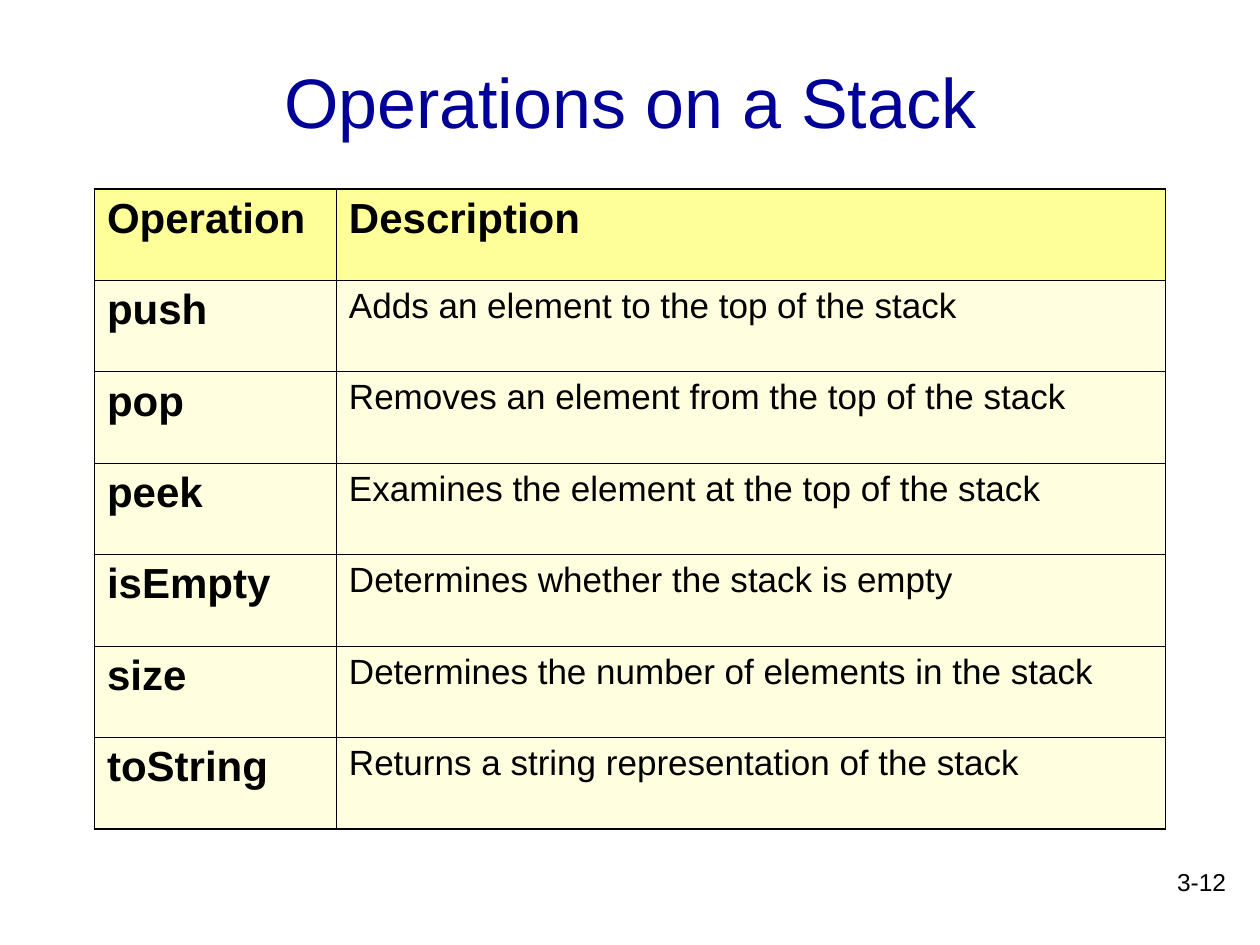
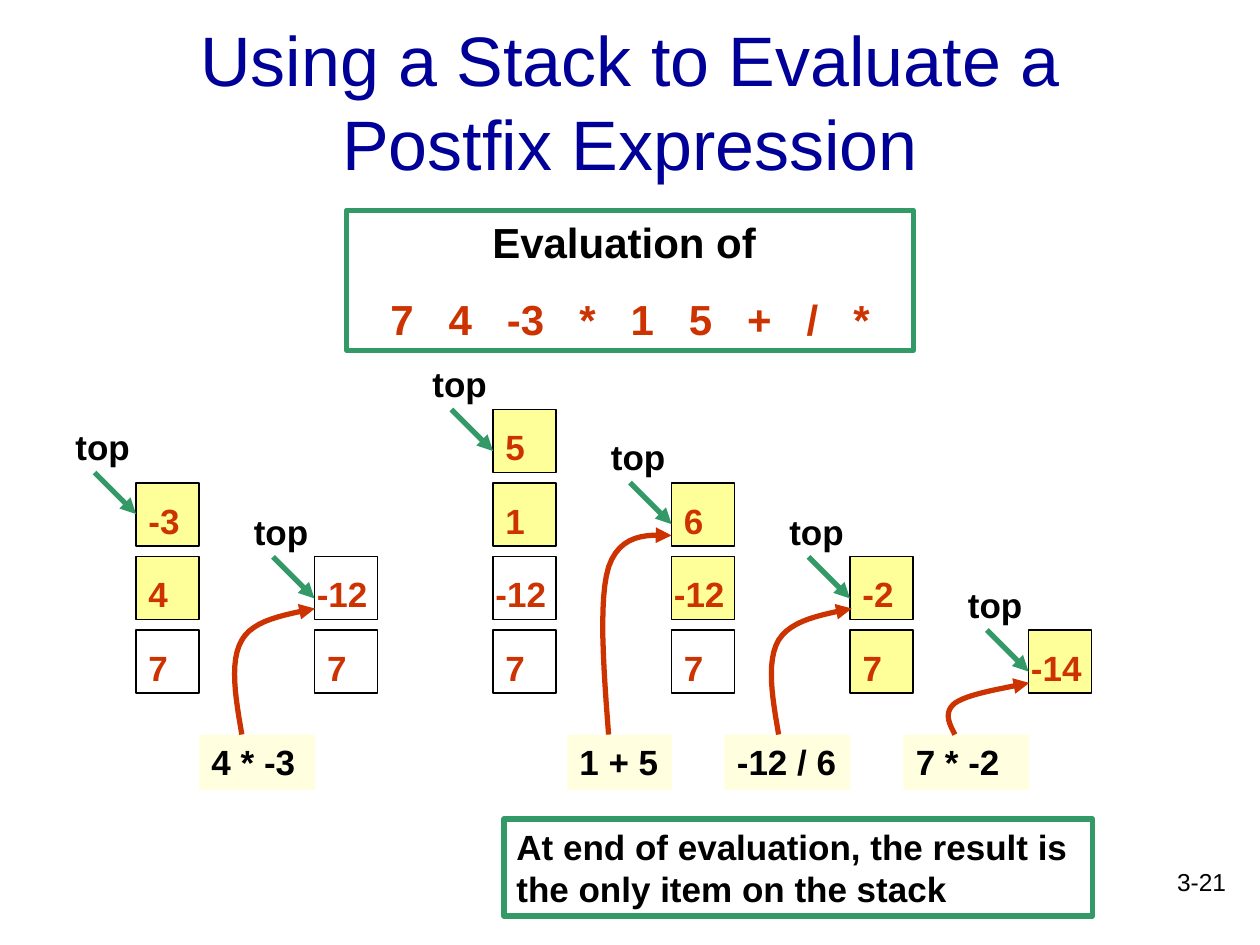
import pptx
import pptx.dml.color
import pptx.enum.shapes
import pptx.enum.text
import pptx.oxml.ns
import pptx.util
import lxml.etree

NAVY = pptx.dml.color.RGBColor(0x00, 0x00, 0x99)
BLACK = pptx.dml.color.RGBColor(0x00, 0x00, 0x00)
RED = pptx.dml.color.RGBColor(0xCC, 0x33, 0x00)
GREEN = pptx.dml.color.RGBColor(0x33, 0x99, 0x66)
YELLOW = pptx.dml.color.RGBColor(0xFF, 0xFF, 0x99)
CREAM = pptx.dml.color.RGBColor(0xFF, 0xFF, 0xDF)
LEFT = pptx.enum.text.PP_ALIGN.LEFT
CENTER = pptx.enum.text.PP_ALIGN.CENTER
RIGHT = pptx.enum.text.PP_ALIGN.RIGHT
RECT = pptx.enum.shapes.MSO_SHAPE.RECTANGLE
STRAIGHT = pptx.enum.shapes.MSO_CONNECTOR.STRAIGHT
qn = pptx.oxml.ns.qn


def write(frame, text, size, color=BLACK, bold=True, align=LEFT, before=12.5):
    frame.word_wrap = True
    para = frame.paragraphs[0]
    para.text = text
    para.alignment = align
    para.space_before = pptx.util.Pt(before)
    para.font.name = "Arial"
    para.font.size = pptx.util.Pt(size)
    para.font.bold = bold
    para.font.color.rgb = color


def point(shape, color):
    shape.line.color.rgb = color
    shape.line.width = pptx.util.Pt(3)
    props = shape.element.spPr
    lxml.etree.SubElement(props.find(qn("a:ln")), qn("a:tailEnd"), type="triangle")
    lxml.etree.SubElement(props, qn("a:effectLst"))


deck = pptx.Presentation()
deck.slide_width = pptx.util.Inches(10)
deck.slide_height = pptx.util.Inches(7.5)

slides = []
for title, page in [
    ("Operations on a Stack", "3-12"),
    ("Using a Stack to Evaluate a Postfix Expression", "3-21"),
]:
    slide = deck.slides.add_slide(deck.slide_layouts[5])
    head = slide.shapes.title
    head.left, head.top = pptx.util.Inches(0.75), pptx.util.Inches(0.17)
    head.width, head.height = pptx.util.Inches(8.5), pptx.util.Inches(1.25)
    head.text_frame.auto_size = pptx.enum.text.MSO_AUTO_SIZE.NONE
    head.text_frame.vertical_anchor = pptx.enum.text.MSO_ANCHOR.MIDDLE
    write(head.text_frame, title, 40, NAVY, False, CENTER, 0)
    foot = slide.shapes.add_textbox(*map(pptx.util.Inches, (7.75, 6.83, 2.08, 0.5)))
    write(foot.text_frame, page, 14, BLACK, False, RIGHT, 0)
    slides.append(slide)

rows = [
    ("Operation", "Description"),
    ("push", "Adds an element to the top of the stack"),
    ("pop", "Removes an element from the top of the stack"),
    ("peek", "Examines the element at the top of the stack"),
    ("isEmpty", "Determines whether the stack is empty"),
    ("size", "Determines the number of elements in the stack"),
    ("toString", "Returns a string representation of the stack"),
]
place = map(pptx.util.Inches, (0.75, 1.5, 8.5, 5.08))
table = slides[0].shapes.add_table(len(rows), 2, *place).table
table.first_row = table.horz_banding = False
table.columns[0].width = pptx.util.Inches(1.92)
table.columns[1].width = pptx.util.Inches(6.58)
for r, row in enumerate(rows):
    for c, text in enumerate(row):
        cell = table.cell(r, c)
        strong = r == 0 or c == 0
        write(cell.text_frame, text, 24 if strong else 20, bold=strong, before=6 if strong else 5)
        props = cell._tc.get_or_add_tcPr()
        outer = {"L": c == 0, "R": c == 1, "T": r == 0, "B": r == len(rows) - 1}
        for side, edge in outer.items():
            width = pptx.util.Pt(1.08 if edge else 0.45)
            line = lxml.etree.SubElement(props, qn("a:ln" + side), w=str(width))
            fill = lxml.etree.SubElement(line, qn("a:solidFill"))
            lxml.etree.SubElement(fill, qn("a:srgbClr"), val=str(BLACK))
        cell.fill.solid()
        cell.fill.fore_color.rgb = CREAM if r else YELLOW

shapes = slides[1].shapes
frames = []
for box, text, size, align, before in [
    ((2.75, 1.67, 4.5, 1.11), "Evaluation of ", 24, CENTER, 15),
    ((4, 6.5, 4.67, 0.77), "At end of evaluation, the result is the only item on the stack", 20, LEFT, 12.5),
]:
    panel = shapes.add_shape(RECT, *map(pptx.util.Inches, box))
    panel.shadow.inherit = False
    panel.fill.background()
    panel.line.color.rgb = GREEN
    panel.line.width = pptx.util.Pt(3)
    panel.text_frame.vertical_anchor = pptx.enum.text.MSO_ANCHOR.TOP
    write(panel.text_frame, text, size, align=align, before=before)
    frames.append(panel.text_frame)

terms = frames[0].add_paragraph()
terms.alignment = CENTER
terms.space_before = pptx.util.Pt(15)
terms.font.name = "Arial"
terms.font.size = pptx.util.Pt(24)
terms.font.bold = True
terms.font.color.rgb = RED
for n, term in enumerate("7 4 -3 * 1 5 + / *".split()):
    if n:
        gap = terms.add_run()
        gap.text = " "
        gap.font._element.set("spc", "1333")
    terms.add_run().text = term

stacks = [
    (["7", "4", "-3"], 1, 3.75),
    (["7", "-12"], 2, 4.42),
    (["7", "-12", "1", "5"], 2, 3.25),
    (["7", "-12", "6"], 1, 3.83),
    (["7", "-2"], 0, 4.42),
    (["-14"], 0, 5),
]
widths = {1: 0.39, 2: 0.5, 3: 0.67}
for n, (items, plain, tip) in enumerate(stacks):
    x = 1.08 + n * 17 / 12
    for level, item in enumerate(items):
        y = 5 - level * 7 / 12
        square = shapes.add_shape(RECT, *map(pptx.util.Inches, (x, y, 0.5, 0.5)))
        square.shadow.inherit = False
        square.line.color.rgb = BLACK
        square.line.width = pptx.util.Pt(0.75)
        if level < plain:
            square.fill.background()
        else:
            square.fill.solid()
            square.fill.fore_color.rgb = YELLOW
        size = len(item)
        left = x - 0.08 if size == 3 else x
        place = map(pptx.util.Inches, (left, y + 0.08, widths[size], 0.44))
        write(shapes.add_textbox(*place).text_frame, item, 20, RED)
    label = shapes.add_textbox(*map(pptx.util.Inches, (x - 0.58, tip - 0.42, 0.67, 0.44)))
    write(label.text_frame, "top", 20)
    ends = map(pptx.util.Inches, (x - 0.33, tip, x, tip + 0.33))
    point(shapes.add_connector(STRAIGHT, *ends), GREEN)

for left, width, text in [
    (1.58, 0.92, "4 * -3"),
    (4.5, 0.835, "1 + 5"),
    (5.75, 1, "-12 / 6"),
    (7.17, 1, "7 * -2"),
]:
    note = shapes.add_shape(RECT, *map(pptx.util.Inches, (left, 5.83, width, 0.44)))
    note.shadow.inherit = False
    note.fill.solid()
    note.fill.fore_color.rgb = CREAM
    note.line.fill.background()
    note.text_frame.vertical_anchor = pptx.enum.text.MSO_ANCHOR.TOP
    write(note.text_frame, text, 20)

curves = [
    [(1.92, 5.83), (1.87, 5.54), (1.82, 5.25), (1.92, 5.08), (2.01, 4.92), (2.26, 4.88), (2.5, 4.83)],
    [(6.18, 5.83), (6.13, 5.54), (6.08, 5.25), (6.18, 5.08), (6.28, 4.92), (6.52, 4.88), (6.76, 4.83)],
    [(4.83, 5.83), (4.79, 5.3), (4.75, 4.76), (4.83, 4.5), (4.92, 4.24), (5.13, 4.24), (5.33, 4.25)],
    [(7.58, 5.83), (7.53, 5.74), (7.49, 5.65), (7.58, 5.58), (7.68, 5.51), (7.92, 5.47), (8.17, 5.42)],
]
steps = 12
for knots in curves:
    dots = []
    for first in (0, 3):
        for step in range(1, steps + 1):
            t = step / steps
            parts = ((1 - t) ** 3, 3 * t * (1 - t) ** 2, 3 * t * t * (1 - t), t ** 3)
            dots.append([
                pptx.util.Inches(sum(p * k[axis] for p, k in zip(parts, knots[first:first + 4])))
                for axis in (0, 1)
            ])
    pen = shapes.build_freeform(*map(pptx.util.Inches, knots[0]))
    pen.add_line_segments(dots, close=False)
    curve = pen.convert_to_shape()
    curve.fill.background()
    point(curve, RED)

deck.save("out.pptx")
